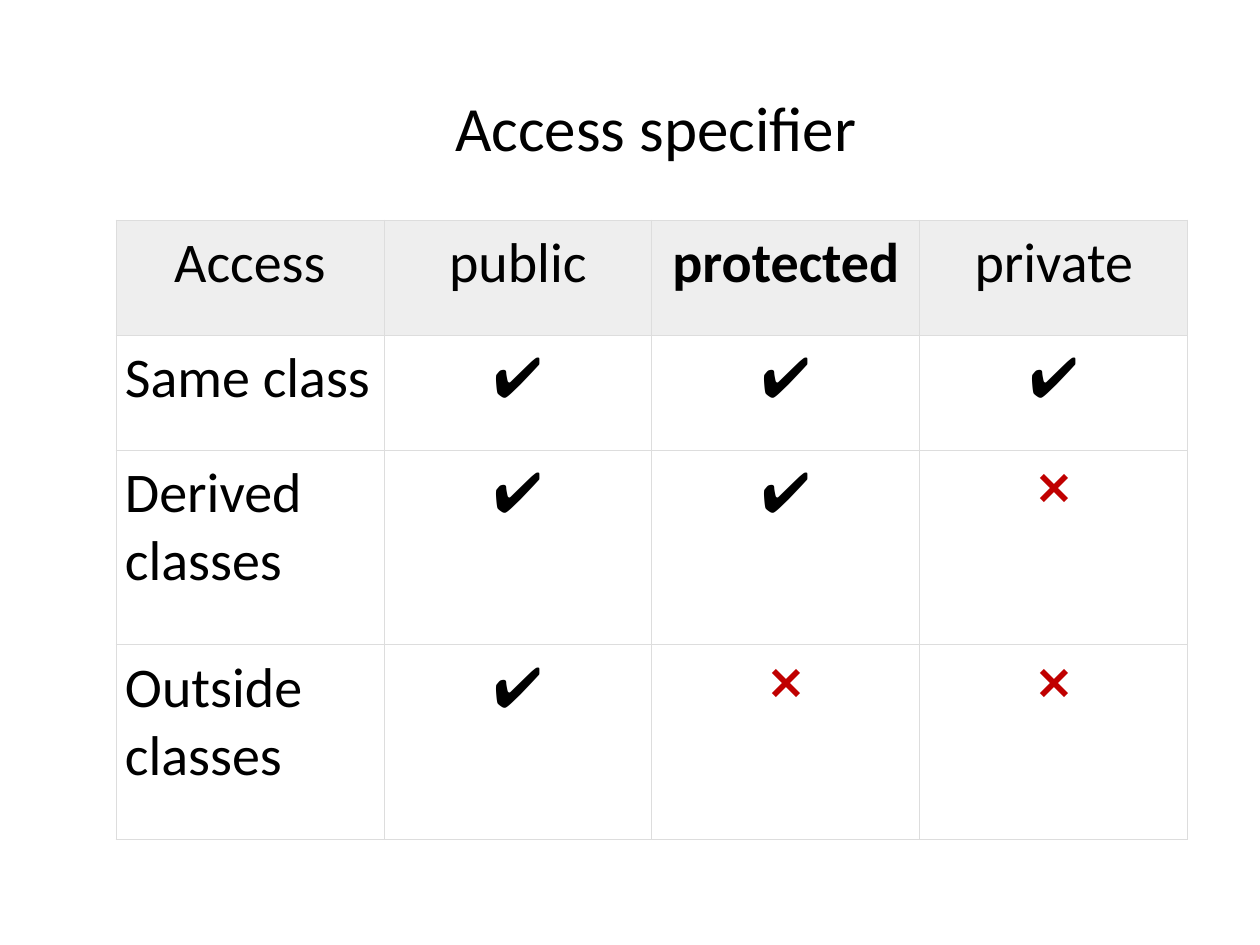
"""Build a slide with a table of access specifiers."""
import dataclasses

import lxml.etree
import pptx
import pptx.dml.color
import pptx.enum.text
import pptx.oxml.ns
import pptx.util

EMU_PER_PX = 914400 / 126
FONT = "Calibri"
BLACK, RED, GREY, BORDER = "000000", "C00000", "EEEEEE", "DDDDDD"
YES, NO = "\u2714", "\u274c"
INSET = 9
COL_WIDTH = 268
ROW_HEIGHTS = (115, 115, 195, 195)
HEADINGS = ("Access", "public", "protected", "private")
ALIGN = pptx.enum.text.PP_ALIGN


@dataclasses.dataclass
class Cell:
    text: str
    size: int = 32
    color: str = BLACK
    bold: bool = False
    align: ALIGN = ALIGN.CENTER
    fill: str = ""


@dataclasses.dataclass
class AccessRow:
    name: str
    allowed: tuple[bool, ...]


ACCESS_ROWS = (
    AccessRow("Same class", (True, True, True)),
    AccessRow("Derived classes", (True, True, False)),
    AccessRow("Outside classes", (True, False, False)),
)


def px(n: float) -> pptx.util.Emu:
    return pptx.util.Emu(round(n * EMU_PER_PX))


def rgb(color: str) -> pptx.dml.color.RGBColor:
    return pptx.dml.color.RGBColor.from_string(color)


def write(tf, text: str, size: int, color: str, align: ALIGN, bold: bool = False) -> None:
    tf.word_wrap = True
    p = tf.paragraphs[0]
    p.text = text
    p.alignment = align
    p.font.name = FONT
    p.font.size = pptx.util.Pt(size)
    p.font.bold = bold
    p.font.color.rgb = rgb(color)


def add_borders(cell, color: str, width: float) -> None:
    qn = pptx.oxml.ns.qn
    tc_pr = cell._tc.get_or_add_tcPr()
    for side in ("a:lnL", "a:lnR", "a:lnT", "a:lnB"):
        ln = lxml.etree.SubElement(tc_pr, qn(side), w=str(pptx.util.Pt(width)))
        solid = lxml.etree.SubElement(ln, qn("a:solidFill"))
        lxml.etree.SubElement(solid, qn("a:srgbClr"), val=color)


def draw_cell(cell, item: Cell) -> None:
    cell.margin_left = cell.margin_right = px(INSET)
    cell.margin_top = cell.margin_bottom = px(INSET)
    write(cell.text_frame, item.text, item.size, item.color, item.align, item.bold)
    add_borders(cell, BORDER, 0.6)
    if item.fill:
        cell.fill.solid()
        cell.fill.fore_color.rgb = rgb(item.fill)
    else:
        cell.fill.background()


def mark(allowed: bool) -> Cell:
    return Cell(YES) if allowed else Cell(NO, size=28, color=RED)


def add_title(s, text: str) -> None:
    tf = s.shapes.add_textbox(px(94), px(53), px(1124), px(147)).text_frame
    tf.vertical_anchor = pptx.enum.text.MSO_ANCHOR.MIDDLE
    write(tf, text, 36, BLACK, ALIGN.CENTER)


def add_access_table(s) -> None:
    grid = [[Cell(h, bold=h == "protected", fill=GREY) for h in HEADINGS]]
    for row in ACCESS_ROWS:
        grid.append([Cell(row.name, align=ALIGN.LEFT), *map(mark, row.allowed)])
    n_rows, n_cols = len(grid), len(HEADINGS)
    table = s.shapes.add_table(n_rows, n_cols, px(116), px(220),
                               px(COL_WIDTH * n_cols), px(sum(ROW_HEIGHTS))).table
    table.first_row = table.horz_banding = False
    for column in table.columns:
        column.width = px(COL_WIDTH)
    for row, height, items in zip(table.rows, ROW_HEIGHTS, grid):
        row.height = px(height)
        for cell, item in zip(row.cells, items):
            draw_cell(cell, item)


def main() -> None:
    prs = pptx.Presentation()
    prs.slide_width, prs.slide_height = px(1260), px(945)
    s = prs.slides.add_slide(prs.slide_layouts[6])
    add_title(s, "Access specifier")
    add_access_table(s)
    prs.save("out.pptx")


main()
